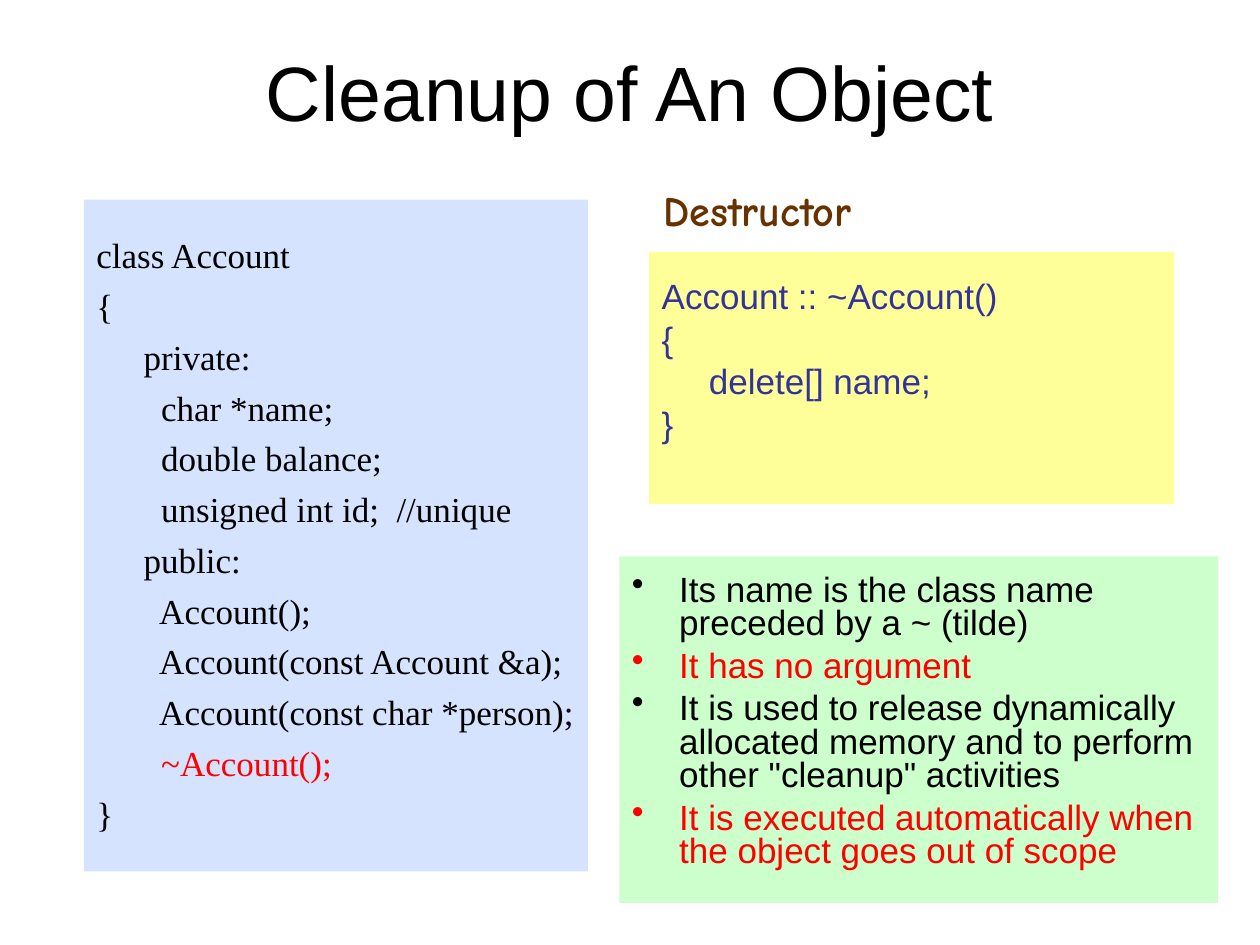
import dataclasses
import typing

import pptx
import pptx.dml.color
import pptx.enum.shapes
import pptx.enum.text
import pptx.oxml
import pptx.oxml.ns
import pptx.util

Pt = pptx.util.Pt
Align = pptx.enum.text.PP_ALIGN
Anchor = pptx.enum.text.MSO_ANCHOR

COLORS = {
    "black": "000000", "red": "FF0000", "brown": "663300", "navy": "333399",
    "blue": "D5E3FF", "yellow": "FFFF99", "green": "CCFFCC",
}
HANG = 27  # hanging indent of code and bullets
GAP = 5    # space between paragraphs


class Line(typing.NamedTuple):
    text: str
    color: str = "black"


@dataclasses.dataclass
class Panel:
    left: float
    top: float
    width: float
    height: float
    fill: str
    inset: float
    lines: list[Line]
    font: str = "Arial"
    space: float = 1.0
    bullet: bool = False


def paint(color: str) -> pptx.dml.color.RGBColor:
    return pptx.dml.color.RGBColor.from_string(COLORS[color])


def write(frame, lines: list[Line], *, font="Arial", size=20, bold=False,
          align=Align.LEFT, anchor=Anchor.TOP, wrap=True, inset=3.6,
          hang=0, space=1.0, bullet=False) -> None:
    """Fill a text frame, one paragraph for each line."""
    frame.word_wrap = wrap
    frame.vertical_anchor = anchor
    frame.margin_left = frame.margin_right = Pt(7.2)
    frame.margin_top, frame.margin_bottom = Pt(inset), Pt(3.6)
    for num, line in enumerate(lines):
        para = frame.paragraphs[0] if num == 0 else frame.add_paragraph()
        para.alignment = align
        para.line_spacing = space
        para.space_before = Pt(GAP if num else 0)
        props = para._p.get_or_add_pPr()
        if hang:
            props.set("marL", str(Pt(hang)))
            props.set("indent", str(-Pt(hang)))
        if bullet:
            mark = pptx.oxml.parse_xml(
                f'<a:buChar {pptx.oxml.ns.nsdecls("a")} char="•"/>')
            props.append(mark)
        run = para.add_run()
        run.text = line.text
        run.font.name, run.font.size, run.font.bold = font, Pt(size), bold
        run.font.color.rgb = paint(line.color)


def draw(slide, panel: Panel) -> None:
    """Draw a plain filled panel with its lines."""
    shape = slide.shapes.add_shape(
        pptx.enum.shapes.MSO_SHAPE.RECTANGLE, Pt(panel.left), Pt(panel.top),
        Pt(panel.width), Pt(panel.height))
    shape.shadow.inherit = False
    shape.fill.solid()
    shape.fill.fore_color.rgb = paint(panel.fill)
    shape.line.fill.background()
    write(shape.text_frame, panel.lines, font=panel.font, inset=panel.inset,
          hang=HANG, space=panel.space, bullet=panel.bullet)


def label(slide, left: float, top: float, width: float, height: float,
          line: Line, **style) -> None:
    """Put one line of text in a free box."""
    box = slide.shapes.add_textbox(Pt(left), Pt(top), Pt(width), Pt(height))
    write(box.text_frame, [line], **style)


CODE = [
    Line("class Account"),
    Line("{"),
    Line("\tprivate:"),
    Line("\t  char *name;"),
    Line("\t  double balance;"),
    Line("\t  unsigned int id;  //unique"),
    Line("\tpublic:"),
    Line("\t  Account();"),
    Line("\t  Account(const Account &a);"),
    Line("\t  Account(const char *person);"),
    Line("\t  ~Account();", "red"),
    Line("}"),
]
BODY = [Line(text, "navy") for text in (
    "Account :: ~Account()", "{", "\tdelete[] name;", "}")]
FACTS = [
    Line("Its name is the class name preceded by a ~ (tilde)"),
    Line("It has no argument", "red"),
    Line("It is used to release dynamically allocated memory and to perform "
         'other "cleanup" activities'),
    Line("It is executed automatically when the object goes out of scope",
         "red"),
]
PANELS = [
    Panel(48, 114, 288, 384, "blue", 19.6, CODE, font="Times New Roman"),
    Panel(371, 144, 300, 144, "yellow", 17.8, BODY, space=0.8),
    Panel(354, 318, 342, 198, "green", 10.8, FACTS, space=0.8, bullet=True),
]


def main() -> None:
    deck = pptx.Presentation()
    deck.slide_width, deck.slide_height = Pt(720), Pt(540)
    slide = deck.slides.add_slide(deck.slide_layouts[6])
    # Headings
    label(slide, 36, 24, 648, 56, Line("Cleanup of An Object"), size=44,
          align=Align.CENTER, anchor=Anchor.MIDDLE)
    label(slide, 372, 102, 140, 36, Line("Destructor", "brown"),
          font="Comic Neue", size=24, bold=True, wrap=False)
    # Code and facts
    for panel in PANELS:
        draw(slide, panel)
    deck.save("out.pptx")


if __name__ == "__main__":
    main()
